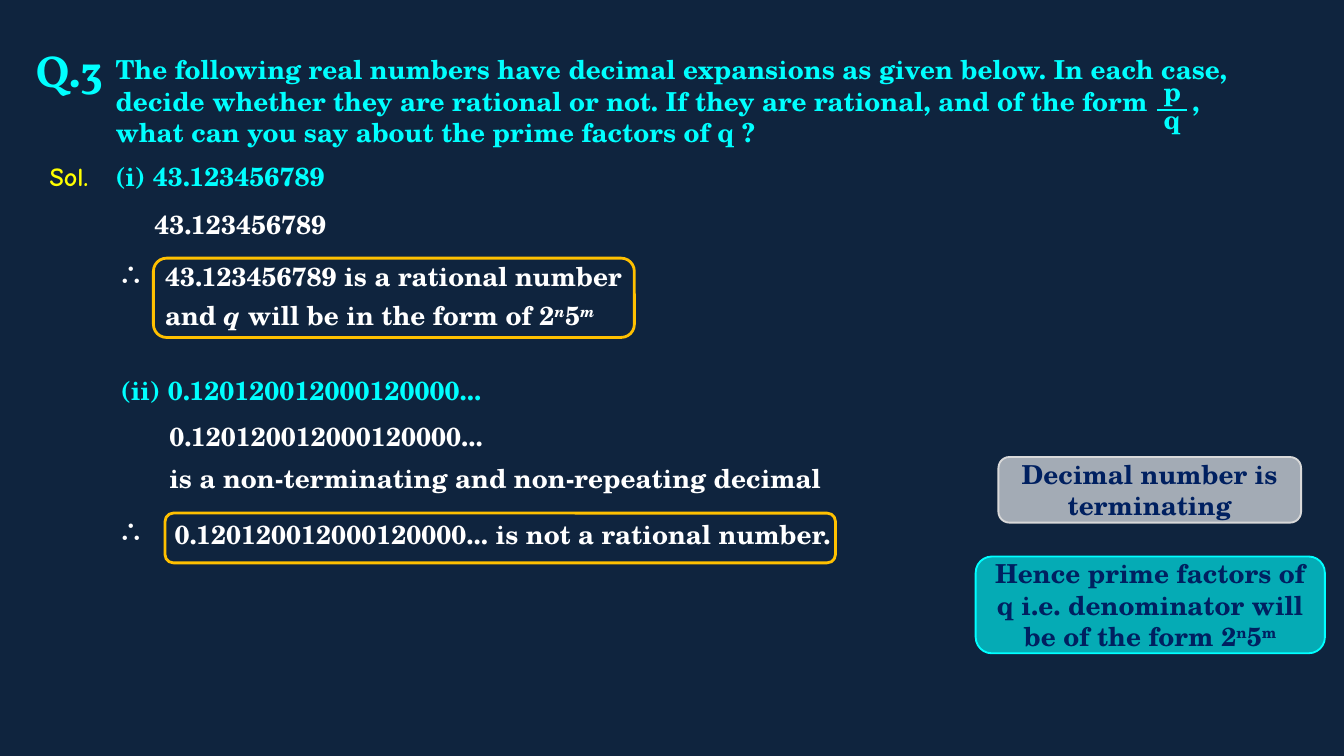
from lxml.etree import SubElement
from pptx import Presentation
from pptx.dml.color import RGBColor
from pptx.enum.shapes import MSO_CONNECTOR, MSO_SHAPE
from pptx.enum.text import MSO_ANCHOR, MSO_AUTO_SIZE, PP_ALIGN
from pptx.oxml.ns import qn
from pptx.util import Cm, Pt

CYAN, WHITE, GOLD, NAVY = "00FFFF", "FFFFFF", "FFC000", "002060"
SERIF = "TeX Gyre Schola"


def color(hex_string):
    return RGBColor.from_string(hex_string)


def write(paragraph, runs, hex_color, font_name=SERIF, size=14):
    """Fill a paragraph; each run is (text, style), i = italic, ^ = superscript."""
    for text, style in runs:
        run = paragraph.add_run()
        run.text = text
        if "i" in style:
            run.font.italic = True
        if "^" in style:
            run._r.get_or_add_rPr().set("baseline", "30000")
    paragraph.font.name = font_name
    paragraph.font.size = Pt(size)
    paragraph.font.bold = True
    paragraph.font.color.rgb = color(hex_color)


presentation = Presentation()
presentation.slide_width, presentation.slide_height = Cm(25.4), Cm(14.29)
slide = presentation.slides.add_slide(presentation.slide_layouts[5])
slide.background.fill.solid()
slide.background.fill.fore_color.rgb = color("0F243E")

# Question, with a tab that leaves room for the fraction p/q
question = slide.shapes.title
question.left, question.top, question.width, question.height = Cm(1.93), Cm(0.89), Cm(21.79), Cm(2.06)
question_frame = question.text_frame
question_frame.word_wrap = True
question_frame.auto_size = MSO_AUTO_SIZE.NONE
question_frame.vertical_anchor = MSO_ANCHOR.TOP
question_lines = [
    "The following real numbers have decimal expansions as given below. In each case, "
    "decide whether they are rational or not. If they are rational, and of the form\t,",
    "what can you say about the prime factors of q ?",
]
for index, line in enumerate(question_lines):
    paragraph = question_frame.add_paragraph() if index else question_frame.paragraphs[0]
    paragraph.alignment = PP_ALIGN.LEFT
    if "\t" in line:
        tab_list = SubElement(paragraph._p.get_or_add_pPr(), qn("a:tabLst"))
        SubElement(tab_list, qn("a:tab"), pos=str(Cm(20.35)), algn="l")
    write(paragraph, [(line, "")], CYAN)

# Fraction bar
fraction_bar = slide.shapes.add_connector(MSO_CONNECTOR.STRAIGHT, Cm(21.87), Cm(2.08), Cm(22.43), Cm(2.08))
fraction_bar.line.color.rgb = color(CYAN)
fraction_bar.line.width = Pt(1.5)
SubElement(fraction_bar._element.spPr, qn("a:effectLst"))

# Frames around the two conclusions, and the two hints
rounded_boxes = [
    (2.9, 4.88, 9.09, 1.5, None, GOLD, 1.5, []),
    (3.12, 9.7, 12.67, 0.94, None, GOLD, 1.5, []),
    (18.87, 8.64, 5.72, 1.24, WHITE, "D9D9D9", 1, [("Decimal number is terminating", "")]),
    (18.44, 10.52, 6.6, 1.83, CYAN, CYAN, 1,
     [("Hence prime factors of q i.e. denominator will be of the form 2", ""),
      ("n", "^"), ("5", ""), ("m", "^")]),
]
for left, top, width, height, fill, outline, weight, runs in rounded_boxes:
    box = slide.shapes.add_shape(MSO_SHAPE.ROUNDED_RECTANGLE, Cm(left), Cm(top), Cm(width), Cm(height))
    box.shadow.inherit = False
    box.line.color.rgb = color(outline)
    box.line.width = Pt(weight)
    if fill:
        box.fill.solid()
        box.fill.fore_color.rgb = color(fill)
        fill_color = box._element.spPr.find(qn("a:solidFill"))[0]
        SubElement(fill_color, qn("a:alpha"), val="62000")
    else:
        box.fill.background()
    if runs:
        box.text_frame.word_wrap = True
        box.text_frame.vertical_anchor = MSO_ANCHOR.MIDDLE
        box.text_frame.paragraphs[0].alignment = PP_ALIGN.CENTER
        write(box.text_frame.paragraphs[0], runs, NAVY)

# Labels, fraction terms and solution steps: left, top, width, wrap, colour, runs
steps = [
    (21.74, 1.3, 0.84, False, CYAN, [("p", "")]),
    (21.74, 1.83, 0.84, False, CYAN, [("q", "")]),
    (1.93, 2.9, 4.5, False, CYAN, [("(i) 43.123456789", "")]),
    (2.67, 3.81, 3.78, False, WHITE, [("43.123456789", "")]),
    (1.98, 4.75, 0.94, False, WHITE, [("∴", "")]),
    (2.87, 4.8, 9.58, True, WHITE, [("43.123456789 is a rational number", "")]),
    (2.87, 5.54, 8.94, False, WHITE,
     [("and ", ""), ("q", "i"), (" will be in the form of 2", ""),
      ("n", "i^"), ("5", ""), ("m", "i^")]),
    (2.03, 6.96, 7.39, False, CYAN, [("(ii) 0.120120012000120000...", "")]),
    (2.95, 7.82, 6.48, False, WHITE, [("0.120120012000120000...", "")]),
    (2.95, 8.61, 12.85, True, WHITE, [("is a non-terminating and non-repeating decimal", "")]),
    (1.98, 9.6, 0.94, False, WHITE, [("∴", "")]),
    (3.05, 9.68, 12.98, True, WHITE, [("0.120120012000120000... is not a rational number.", "")]),
]
labels = [
    (0.43, 0.69, 2.24, True, CYAN, [("Q.3", "")], "Vollkorn", 24),
    (0.69, 2.9, 1.47, False, "FFFF00", [("Sol.", "")], "Comic Neue", 14),
]
for left, top, width, wrap, text_color, runs, *font in labels + steps:
    height = 1.27 if 24 in font else 0.86
    step = slide.shapes.add_textbox(Cm(left), Cm(top), Cm(width), Cm(height))
    step.text_frame.word_wrap = wrap
    step.text_frame.auto_size = MSO_AUTO_SIZE.SHAPE_TO_FIT_TEXT
    write(step.text_frame.paragraphs[0], runs, text_color, *font)

presentation.save("out.pptx")
